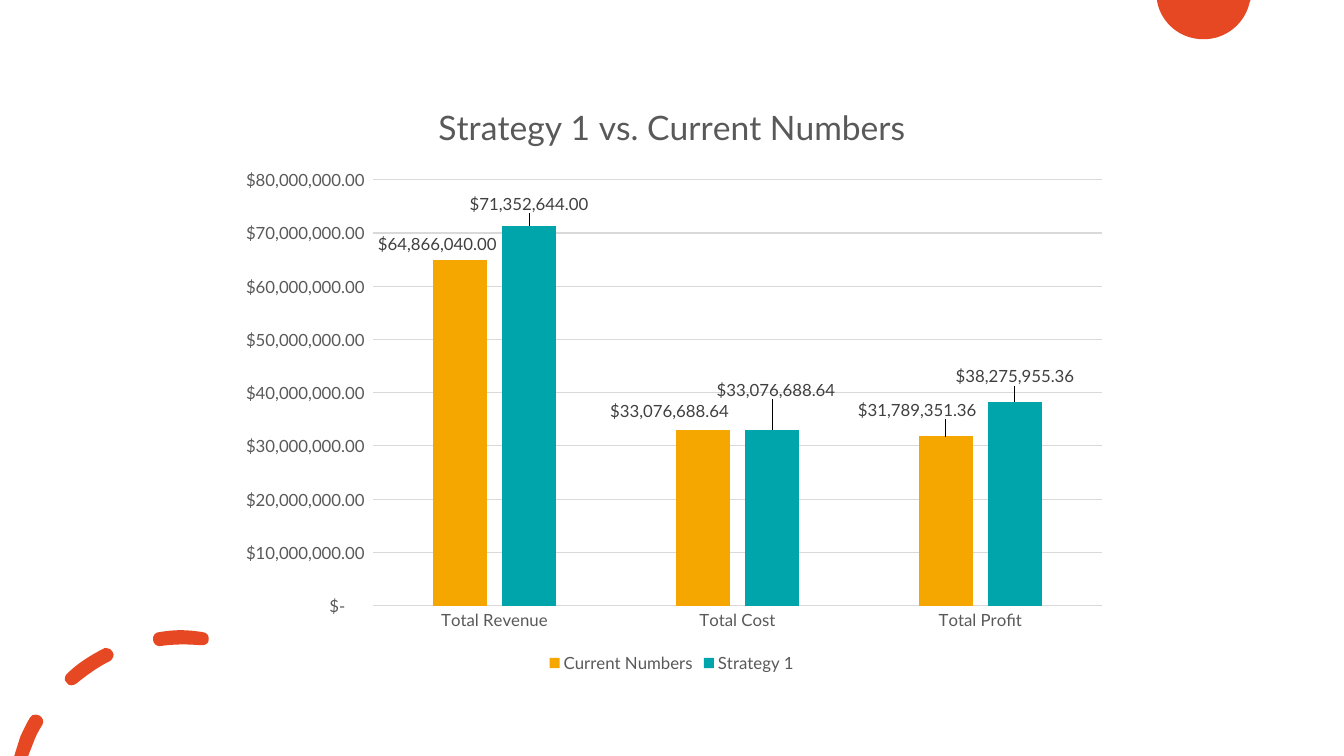
import pptx
import pptx.chart.data
import pptx.dml.color
import pptx.enum.chart
import pptx.oxml
import pptx.oxml.ns
import pptx.util

Cm, Pt = pptx.util.Cm, pptx.util.Pt
RGB = pptx.dml.color.RGBColor.from_string
qn = pptx.oxml.ns.qn
COLORS = {"accent": "E64823", "current": "F5A700", "strategy": "00A5AB",
          "text": "595959", "label": "404040", "grid": "D9D9D9"}
FONT = "Lato"
MONEY = '_("$"* #,##0.00_);_("$"* \\(#,##0.00\\);_("$"* "-"??_);_(@_)'
CHART_WIDTH, CHART_HEIGHT = 22.58, 15.06


def style(font, size, color):
    font.name, font.size, font.bold = FONT, Pt(size), False
    font.color.rgb = RGB(COLORS[color])


presentation = pptx.Presentation()
presentation.slide_width, presentation.slide_height = Cm(33.87), Cm(19.05)
slide = presentation.slides.add_slide(presentation.slide_layouts[6])

top_disc = [
    [(29.16, 0), (31.52, 0), (31.5, 0.03),
     (31.39, 0.58, 30.91, 0.99, 30.33, 0.99), (29.74, 0.99, 29.26, 0.58, 29.16, 0.03)],
]
corner_dashes = [
    [(0.91, 18.01), (0.86, 17.98, 0.79, 18.03, 0.76, 18.08),
     (0.66, 18.24, 0.58, 18.42, 0.51, 18.57), (0.36, 19.05), (0.71, 19.05), (0.84, 18.72),
     (0.89, 18.57, 0.97, 18.42, 1.07, 18.26), (1.12, 18.19, 1.07, 18.06, 0.99, 18.03),
     (0.97, 18.01, 0.94, 18.01, 0.91, 18.01)],
    [(2.67, 16.33), (2.64, 16.33, 2.62, 16.33, 2.62, 16.34),
     (2.29, 16.51, 1.96, 16.71, 1.7, 16.97), (1.63, 17.02, 1.6, 17.15, 1.68, 17.2),
     (1.7, 17.25, 1.75, 17.27, 1.8, 17.27), (1.8, 17.27), (1.85, 17.27, 1.88, 17.25, 1.93, 17.22),
     (2.18, 17.02, 2.46, 16.81, 2.77, 16.66), (2.84, 16.61, 2.9, 16.51, 2.84, 16.43),
     (2.82, 16.36, 2.74, 16.33, 2.67, 16.33)],
    [(4.55, 15.88), (4.37, 15.88, 4.19, 15.9, 4.01, 15.93),
     (3.91, 15.93, 3.84, 16.03, 3.86, 16.13), (3.86, 16.21, 3.94, 16.28, 4.01, 16.28),
     (4.04, 16.28, 4.04, 16.28, 4.04, 16.28),
     (4.39, 16.23, 4.72, 16.23, 5.05, 16.26), (5.16, 16.28, 5.26, 16.21, 5.26, 16.13),
     (5.28, 16.03, 5.21, 15.93, 5.11, 15.93), (5.11, 15.93, 5.11, 15.93, 5.11, 15.93),
     (4.93, 15.9, 4.72, 15.88, 4.55, 15.88)],
]
for ornament in (top_disc, corner_dashes):
    first_x, first_y = ornament[0][0]
    builder = slide.shapes.build_freeform(Cm(first_x), Cm(first_y))
    for number, (start, *segments) in enumerate(ornament):
        if number:
            builder.move_to(Cm(start[0]), Cm(start[1]))
        corners = [(Cm(x), Cm(y)) for segment in segments
                   for x, y in zip(segment[::2], segment[1::2])]
        builder.add_line_segments(corners, close=True)
    outline = builder.convert_to_shape()
    outline.shadow.inherit = False
    outline.fill.solid()
    outline.fill.fore_color.rgb = RGB(COLORS["accent"])
    outline.line.fill.background()

    steps = iter(list(outline._element.iter(qn("a:lnTo"))))
    for start, *segments in ornament:
        for segment in segments:
            step = next(steps)
            if len(segment) == 6:
                curve = pptx.oxml.parse_xml(f'<a:cubicBezTo {pptx.oxml.ns.nsdecls("a")}/>')
                step.addprevious(curve)
                for control in (step, next(steps), next(steps)):
                    curve.append(control[0])
                    control.getparent().remove(control)

figures = pptx.chart.data.CategoryChartData(number_format=MONEY)
figures.categories = ["Total Revenue", "Total Cost", "Total Profit"]
figures.add_series("Current Numbers", [64866040, 33076688.64, 31789351.36])
figures.add_series("Strategy 1", [71352644, 33076688.64, 38275955.36])
chart = slide.shapes.add_chart(
    pptx.enum.chart.XL_CHART_TYPE.COLUMN_CLUSTERED,
    Cm(5.64), Cm(2), Cm(CHART_WIDTH), Cm(CHART_HEIGHT), figures).chart
style(chart.font, 12, "text")

chart.has_title = True
title = chart.chart_title.text_frame.paragraphs[0].add_run()
title.text = "Strategy 1 vs. Current Numbers"
style(title.font, 24, "text")
chart.chart_title.include_in_layout = False

chart.has_legend = True
chart.legend.position = pptx.enum.chart.XL_LEGEND_POSITION.BOTTOM
chart.legend.include_in_layout = False
style(chart.legend.font, 12, "text")

for axis in (chart.category_axis, chart.value_axis):
    axis.major_tick_mark = axis.minor_tick_mark = pptx.enum.chart.XL_TICK_MARK.NONE
    style(axis.tick_labels.font, 12, "text")
amounts = chart.value_axis
amounts.minimum_scale, amounts.maximum_scale, amounts.major_unit = 0, 80000000, 10000000
amounts.tick_labels.number_format = MONEY
amounts.tick_labels.number_format_is_linked = False
amounts.format.line.fill.background()
for line in (chart.category_axis.format.line, amounts.major_gridlines.format.line):
    line.color.rgb = RGB(COLORS["grid"])
    line.width = Pt(0.75)

columns = chart.plots[0]
columns.gap_width, columns.overlap, columns.vary_by_categories = 219, -27, False

label_shifts = {"current": [(-0.57, -0.08), (-0.84, -0.13), (-0.72, -0.33)],
                "strategy": [(0, -0.2), (0.1, -0.66), (0, -0.3)]}
outside = pptx.enum.chart.XL_LABEL_POSITION.OUTSIDE_END
for series, (key, shifts) in zip(columns.series, label_shifts.items()):
    series.format.fill.solid()
    series.format.fill.fore_color.rgb = RGB(COLORS[key])
    series.invert_if_negative = False
    labels = series.data_labels
    labels.show_value = True
    labels.number_format, labels.number_format_is_linked = MONEY, False
    labels.position = outside
    style(labels.font, 12, "label")
    for index, (dx, dy) in enumerate(shifts):
        label = series.points[index].data_label
        label.position = outside
        style(label.font, 12, "label")
        labels._element.findall(qn("c:dLbl"))[index].insert(1, pptx.oxml.parse_xml(
            f'<c:layout {pptx.oxml.ns.nsdecls("c")}><c:manualLayout>'
            f'<c:x val="{dx / CHART_WIDTH:.4f}"/><c:y val="{dy / CHART_HEIGHT:.4f}"/>'
            '</c:manualLayout></c:layout>'))
    for leader in labels._element.findall(qn("c:showLeaderLines")):
        labels._element.remove(leader)
    labels._element.append(pptx.oxml.parse_xml(
        f'<c:extLst {pptx.oxml.ns.nsdecls("c")}>'
        '<c:ext uri="{CE6537A1-D6FC-4f65-9D91-7224C49458BB}" '
        'xmlns:c15="http://schemas.microsoft.com/office/drawing/2012/chart">'
        '<c15:showLeaderLines val="0"/></c:ext></c:extLst>'))

presentation.save("out.pptx")
